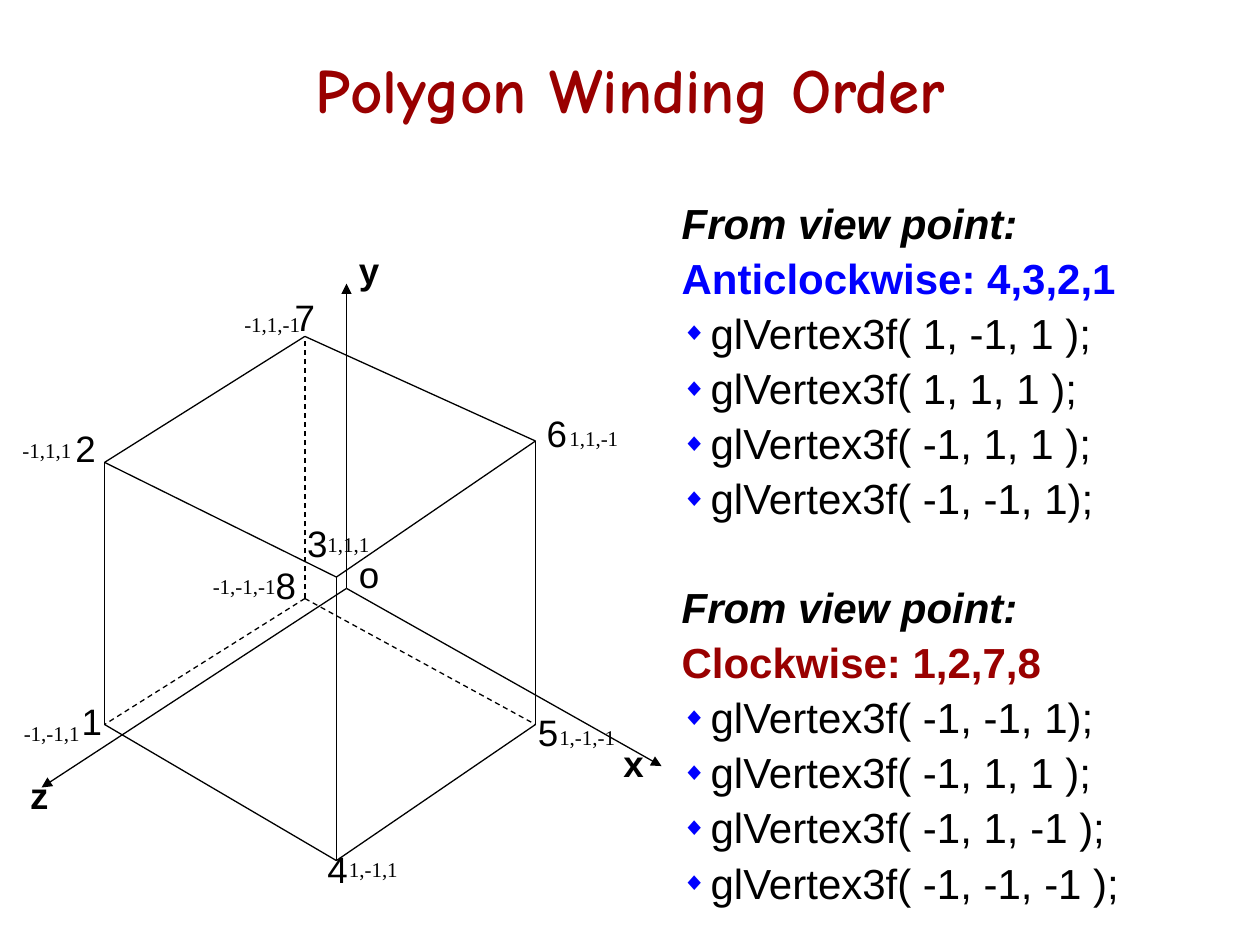
from lxml import etree
from pptx import Presentation
from pptx.dml.color import RGBColor
from pptx.enum.dml import MSO_LINE
from pptx.enum.shapes import MSO_CONNECTOR
from pptx.enum.text import MSO_ANCHOR, MSO_AUTO_SIZE, PP_ALIGN
from pptx.oxml.ns import qn
from pptx.util import Inches, Pt

STRAIGHT = MSO_CONNECTOR.STRAIGHT
DASH = MSO_LINE.DASH
TOP, MIDDLE = MSO_ANCHOR.TOP, MSO_ANCHOR.MIDDLE
LEFT, CENTER = PP_ALIGN.LEFT, PP_ALIGN.CENTER
NO_FIT = MSO_AUTO_SIZE.NONE
BLACK, BLUE, RED = "000000", "0000FF", "990000"

# Content
TITLE = "Polygon Winding Order"
VIEWS = [
    ("From view point:", "Anticlockwise: 4,3,2,1", BLUE,
     ["glVertex3f( 1, -1, 1 );", "glVertex3f( 1, 1, 1 );",
      "glVertex3f( -1, 1, 1 );", "glVertex3f( -1, -1, 1);"]),
    ("From view point:", "Clockwise: 1,2,7,8", RED,
     ["glVertex3f( -1, -1, 1);", "glVertex3f( -1, 1, 1 );",
      "glVertex3f( -1, 1, -1 );", "glVertex3f( -1, -1, -1 );"]),
]

# Vertex: corner point, coordinates, place of coordinates, place of number
VERTICES = {
    1: ((0.83, 5.75), "-1,-1,1", (0.09, 5.67), (0.55, 5.5)),
    2: ((0.83, 3.67), "-1,1,1", (0.08, 3.42), (0.5, 3.33)),
    3: ((2.67, 4.58), "1,1,1", (2.5, 4.17), (2.34, 4.08)),
    4: ((2.67, 6.83), "1,-1,1", (2.67, 6.75), (2.5, 6.67)),
    5: ((4.25, 5.75), "1,-1,-1", (4.34, 5.7), (4.17, 5.58)),
    6: ((4.25, 3.5), "1,1,-1", (4.42, 3.33), (4.24, 3.21)),
    7: ((2.42, 2.67), "-1,1,-1", (1.84, 2.42), (2.24, 2.29)),
    8: ((2.42, 4.75), "-1,-1,-1", (1.59, 4.5), (2.09, 4.42)),
}
EDGES = [(7, 6), (6, 5), (2, 3), (2, 1), (3, 4), (1, 4), (2, 7), (3, 6), (4, 5)]
HIDDEN_EDGES = [(8, 1), (8, 5), (8, 7)]

# Axis: tip, place of name
ORIGIN, ORIGIN_LABEL = (2.75, 4.67), (2.75, 4.33)
AXES = {
    "x": ((5.25, 6.08), (4.85, 5.83)),
    "y": ((2.75, 2.25), (2.75, 1.92)),
    "z": ((0.33, 6.25), (0.14, 6.08)),
}


def style(font, size, name=None, color=BLACK, bold=False, italic=False):
    font.size, font.name = Pt(size), name
    font.bold, font.italic = bold, italic
    font.color.rgb = RGBColor.from_string(color)


def place(shape, left, top, width, height):
    shape.left, shape.top = Inches(left), Inches(top)
    shape.width, shape.height = Inches(width), Inches(height)


def add_line(group, start, end, dashed=False, arrow=False):
    line = group.shapes.add_connector(
        STRAIGHT, *(Inches(value) for value in (*start, *end)))
    line.line.color.rgb = RGBColor.from_string(BLACK)
    line.line.width = Pt(0.75)
    if dashed:
        line.line.dash_style = DASH
    properties = line._element.spPr
    if arrow:
        etree.SubElement(properties.find(qn("a:ln")), qn("a:tailEnd"),
                         type="triangle")
    etree.SubElement(properties, qn("a:effectLst"))


def add_label(group, text, corner, width, height, size, name, bold=False):
    box = group.shapes.add_textbox(
        *(Inches(value) for value in (*corner, width, height)))
    box.text_frame.word_wrap = False
    span = box.text_frame.paragraphs[0].add_run()
    span.text = text
    style(span.font, size, name, bold=bold)


def add_item(frame, text, before, bullet=False, **look):
    first = not frame.paragraphs[0].runs
    para = frame.paragraphs[0] if first else frame.add_paragraph()
    para.alignment, para.line_spacing = LEFT, 0.9
    para.space_before = Pt(0 if first else before)
    para.space_after = Pt(0)
    settings = para._p.get_or_add_pPr()
    indent = Inches(0.23) if bullet else 0
    settings.set("marL", str(indent))
    settings.set("indent", str(-indent))
    if bullet:
        color = etree.SubElement(settings, qn("a:buClr"))
        etree.SubElement(color, qn("a:srgbClr"), val=BLUE)
        etree.SubElement(settings, qn("a:buSzPct"), val="60000")
        etree.SubElement(settings, qn("a:buChar"), char="◆")
    else:
        etree.SubElement(settings, qn("a:buNone"))
    span = para.add_run()
    span.text = text
    style(span.font, 24, "Arial", **look)


deck = Presentation()
deck.slide_width, deck.slide_height = Inches(10), Inches(7.5)
page = deck.slides.add_slide(deck.slide_layouts[1])

# Title
title = page.shapes.title
place(title, 0.75, 0.25, 8.5, 0.9)
title.text_frame.vertical_anchor = MIDDLE
title.text_frame.auto_size = NO_FIT
heading = title.text_frame.paragraphs[0]
heading.alignment = CENTER
span = heading.add_run()
span.text = TITLE
style(span.font, 36, "Comic Neue", RED, bold=True)

# Vertex lists
body = page.placeholders[1]
place(body, 5.31, 1.56, 4.25, 5.55)
frame = body.text_frame
frame.vertical_anchor, frame.auto_size, frame.word_wrap = TOP, NO_FIT, True
GAP, VIEW_GAP = 5.6, 36
for view, order, color, calls in VIEWS:
    add_item(frame, view, VIEW_GAP, bold=True, italic=True)
    add_item(frame, order, GAP, color=color, bold=True)
    for call in calls:
        add_item(frame, call, GAP, bullet=True)

# Cube edges
cube = page.shapes.add_group_shape()
for edges, dashed in ((EDGES, False), (HIDDEN_EDGES, True)):
    for start, end in edges:
        add_line(cube, VERTICES[start][0], VERTICES[end][0], dashed=dashed)

# Axes
for axis, (tip, corner) in AXES.items():
    add_line(cube, ORIGIN, tip, arrow=True)
    add_label(cube, axis, corner, 0.36, 0.45, 21, "Arial", bold=True)
add_label(cube, "o", ORIGIN_LABEL, 0.36, 0.45, 21, "Arial")

# Vertex labels, wider by each minus sign
for number, (_, coords, coords_at, number_at) in VERTICES.items():
    width = 0.53 + 0.06 * coords.count("-")
    add_label(cube, coords, coords_at, width, 0.3, 12, "Times New Roman")
    add_label(cube, str(number), number_at, 0.36, 0.45, 21, "Arial")

deck.save("out.pptx")
